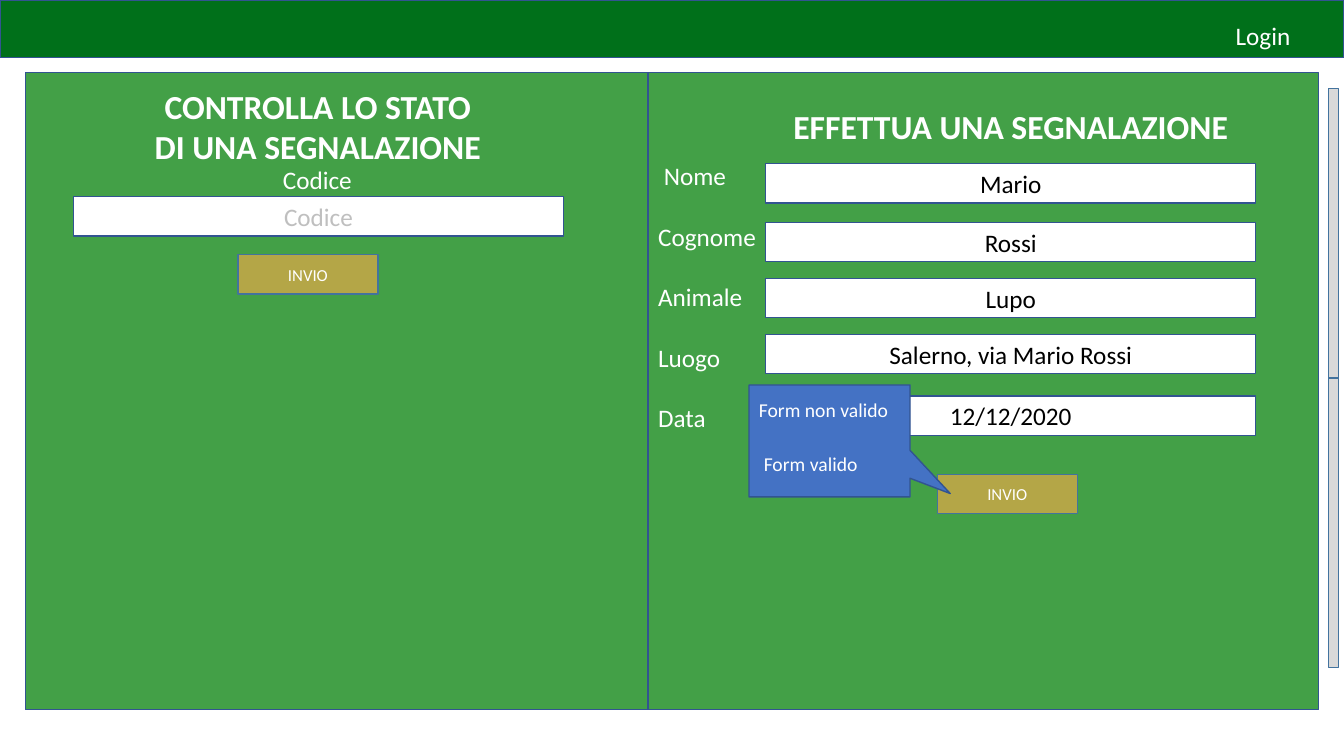
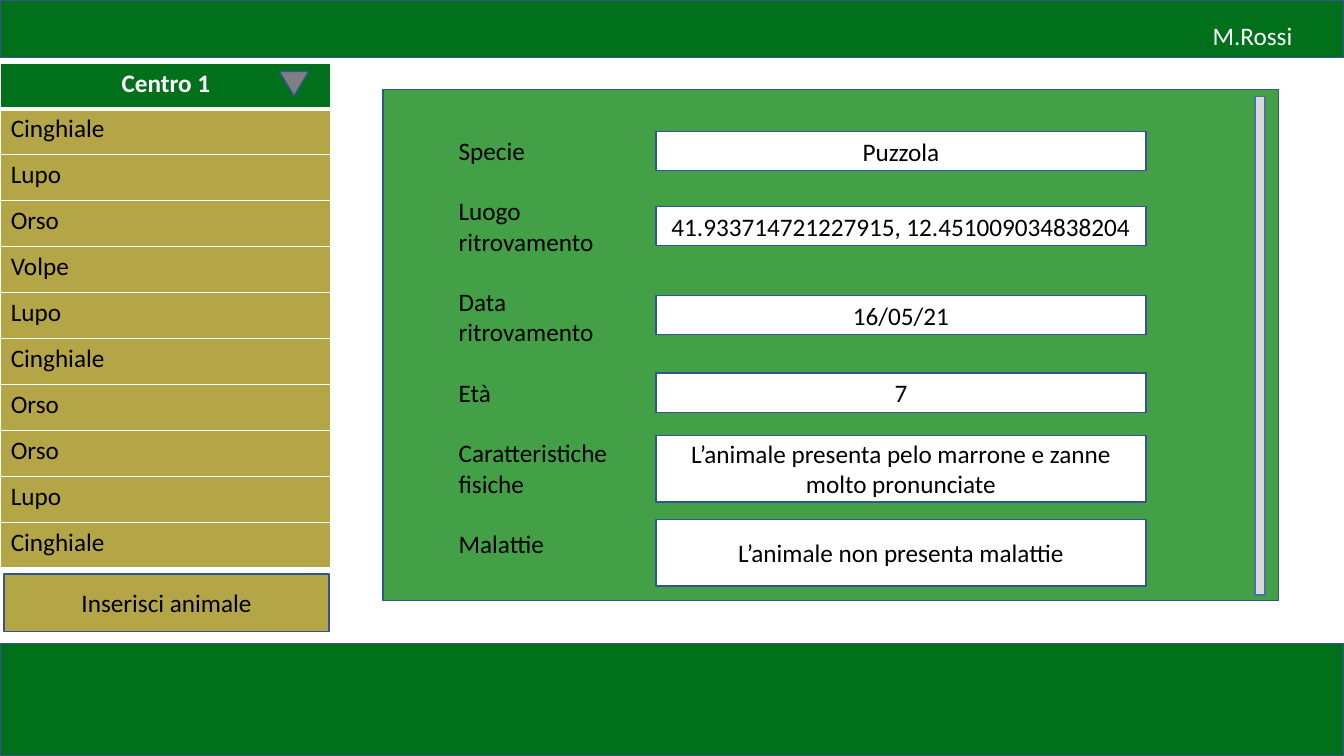
from dataclasses import dataclass

from lxml import etree
from pptx import Presentation
from pptx.dml.color import RGBColor
from pptx.enum.shapes import MSO_SHAPE
from pptx.enum.text import MSO_ANCHOR, PP_ALIGN
from pptx.oxml.ns import qn
from pptx.util import Pt

RECTANGLE = MSO_SHAPE.RECTANGLE
TRIANGLE = MSO_SHAPE.ISOSCELES_TRIANGLE
CALLOUT = MSO_SHAPE.RECTANGULAR_CALLOUT
MIDDLE, TOP = MSO_ANCHOR.MIDDLE, MSO_ANCHOR.TOP
LEFT, CENTER = PP_ALIGN.LEFT, PP_ALIGN.CENTER

FONT = "Calibri"
WHITE, BLACK = "FFFFFF", "000000"
DARK_GREEN, GREEN, GOLD = "00701A", "43A047", "B4A647"
BLUE, GREY, LIGHT_GREY, HINT_GREY = "4472C4", "808080", "D9D9D9", "BFBFBF"
NAVY_LINE, STEEL_LINE = "325491", "43739E"

SLIDE_WIDTH, SLIDE_HEIGHT = 960, 540
HEADER_HEIGHT = 41
HEADER_TEXT_RIGHT = 934.5
FIELD_WIDTH, FIELD_HEIGHT = 350, 28
LABEL_GAP = 21.6


@dataclass(frozen=True)
class Box:
    left: float
    top: float
    width: float
    height: float


@dataclass(frozen=True)
class TextStyle:
    size: float = 18
    color: str = WHITE
    bold: bool = False
    align: PP_ALIGN = LEFT


@dataclass(frozen=True)
class Field:
    top: float
    text: str
    height: float = FIELD_HEIGHT


LABEL = TextStyle()
DARK_LABEL = TextStyle(color=BLACK)
VALUE = TextStyle(color=BLACK, align=CENTER)
HINT = TextStyle(color=HINT_GREY, align=CENTER)
TITLE = TextStyle(size=24, bold=True, align=CENTER)
BUTTON = TextStyle(size=12, align=CENTER)
MESSAGE = TextStyle(size=14)
TABLE_HEAD = TextStyle(bold=True, align=CENTER)

REPORT_LABELS = [" Nome", "Cognome", "Animale", "Luogo", "Data"]
REPORT_FIELDS = [
    Field(117, "Mario"),
    Field(159, "Rossi"),
    Field(199, "Lupo"),
    Field(239, "Salerno, via Mario Rossi"),
    Field(283, "12/12/2020"),
]
ANIMAL_LABELS = ["Specie", "Luogo ritrovamento", "Data ritrovamento", "Età",
                 "Caratteristiche fisiche", "Malattie"]
ANIMAL_FIELDS = [
    Field(94, "Puzzola"),
    Field(147.5, "41.933714721227915, 12.451009034838204"),
    Field(211, "16/05/21"),
    Field(266.5, "7"),
    Field(311, "L’animale presenta pelo marrone e zanne molto pronunciate", 47.5),
    Field(371, "L’animale non presenta malattie", 47.5),
]
ANIMALS = ["Cinghiale", "Lupo", "Orso", "Volpe", "Lupo",
           "Cinghiale", "Orso", "Orso", "Lupo", "Cinghiale"]


# Basic parts
def rgb(color: str) -> RGBColor:
    return RGBColor.from_string(color)


def write(text_frame, lines: list[str], style: TextStyle, gap: float = 0) -> None:
    text_frame.text = "\n".join(lines)
    for index, paragraph in enumerate(text_frame.paragraphs):
        paragraph.alignment = style.align
        if index and gap:
            paragraph.space_before = Pt(gap)
        for run in paragraph.runs:
            run.font.name = FONT
            run.font.size = Pt(style.size)
            run.font.bold = style.bold
            run.font.color.rgb = rgb(style.color)


def place(box: Box) -> tuple:
    return Pt(box.left), Pt(box.top), Pt(box.width), Pt(box.height)


def add_block(slide, box: Box, fill: str, line: str = NAVY_LINE, text: str = "",
              style: TextStyle = VALUE, kind: MSO_SHAPE = RECTANGLE):
    shape = slide.shapes.add_shape(kind, *place(box))
    shape.shadow.inherit = False
    shape.fill.solid()
    shape.fill.fore_color.rgb = rgb(fill)
    shape.line.color.rgb = rgb(line)
    shape.line.width = Pt(1)
    if text:
        shape.text_frame.vertical_anchor = MIDDLE
        write(shape.text_frame, [text], style)
    return shape


def add_text(slide, box: Box, lines: list[str], style: TextStyle, gap: float = 0) -> None:
    text_frame = slide.shapes.add_textbox(*place(box)).text_frame
    text_frame.word_wrap = True
    text_frame.vertical_anchor = TOP
    write(text_frame, lines, style, gap)


# Page elements
def add_header(slide, text: str, text_width: float) -> None:
    add_block(slide, Box(0, 0, SLIDE_WIDTH, HEADER_HEIGHT), DARK_GREEN)
    box = Box(HEADER_TEXT_RIGHT - text_width, 11, text_width, 29)
    add_text(slide, box, [text], LABEL)


def add_fields(slide, left: float, fields: list[Field], style: TextStyle = VALUE) -> None:
    for field in fields:
        box = Box(left, field.top, FIELD_WIDTH, field.height)
        add_block(slide, box, WHITE, text=field.text, style=style)


def add_send_button(slide, left: float, top: float) -> None:
    add_block(slide, Box(left, top, 100, 28), GOLD, STEEL_LINE, "INVIO", BUTTON)


def add_scrollbar(slide, left: float, top: float, height: float) -> None:
    add_block(slide, Box(left, top, 7, height), LIGHT_GREY, STEEL_LINE)


def set_borders(cell, top: float, bottom: float) -> None:
    properties = cell._tc.get_or_add_tcPr()
    for side, width in (("L", 1), ("R", 1), ("T", top), ("B", bottom)):
        border = etree.SubElement(properties, qn(f"a:ln{side}"), w=str(Pt(width)))
        fill = etree.SubElement(border, qn("a:solidFill"))
        etree.SubElement(fill, qn("a:srgbClr"), val=WHITE)


def add_animal_table(slide, box: Box, head: str, animals: list[str]) -> None:
    rows = [head, *animals]
    table = slide.shapes.add_table(len(rows), 1, *place(box)).table
    table.horz_banding = False
    for index, text in enumerate(rows):
        table.rows[index].height = Pt(box.height / len(rows))
        cell = table.cell(index, 0)
        set_borders(cell, 3 if index == 1 else 1, 3 if index == 0 else 1)
        cell.fill.solid()
        cell.fill.fore_color.rgb = rgb(GOLD if index else DARK_GREEN)
        write(cell.text_frame, [text], DARK_LABEL if index else TABLE_HEAD)


# Slides
def build_report_slide(slide) -> None:
    add_header(slide, "Login", 59)
    for top in (63, 270):
        add_scrollbar(slide, 949, top, 207)

    # Report form
    field_left = 547
    add_block(slide, Box(463, 52, 479, 455), GREEN)
    add_fields(slide, field_left, REPORT_FIELDS)
    add_text(slide, Box(field_left, 72, FIELD_WIDTH, 36), ["EFFETTUA UNA SEGNALAZIONE"], TITLE)
    add_send_button(slide, 669.5, 339)
    add_text(slide, Box(463, 111, 239, 204), REPORT_LABELS, LABEL, LABEL_GAP)

    # Status check
    add_block(slide, Box(18, 52, 445, 455), GREEN)
    add_text(slide, Box(18, 57.5, 418, 65.5),
             ["CONTROLLA LO STATO", "DI UNA SEGNALAZIONE"], TITLE)
    add_text(slide, Box(195, 114, 216, 29), ["Codice"], LABEL)
    add_fields(slide, 52.5, [Field(140.5, "Codice")], HINT)
    add_send_button(slide, 170, 182)

    # Validation callout
    callout = add_block(slide, Box(535, 275, 115, 80), BLUE, kind=CALLOUT)
    callout.adjustments[0], callout.adjustments[1] = 0.75, 0.47
    add_text(slide, Box(535, 281, 136, 24), ["Form non valido"], MESSAGE)
    add_text(slide, Box(538.5, 319, 136, 24), ["Form valido"], MESSAGE)


def build_animal_slide(slide) -> None:
    add_header(slide, "M.Rossi", 75.5)
    footer_top = 459.5
    add_block(slide, Box(0, footer_top, SLIDE_WIDTH, SLIDE_HEIGHT - footer_top), DARK_GREEN)

    # Animal list
    add_animal_table(slide, Box(0.5, 45, 236, 360.8), "Centro 1", ANIMALS)
    arrow = add_block(slide, Box(199.5, 51, 21, 17.5), GREY, kind=TRIANGLE)
    arrow.rotation = 180
    add_block(slide, Box(3, 410, 232, 41), GOLD, text="Inserisci animale")

    # Animal details
    add_block(slide, Box(273.5, 64, 640, 365), GREEN)
    add_text(slide, Box(320.5, 93, 123, 312), ANIMAL_LABELS, DARK_LABEL, LABEL_GAP)
    add_fields(slide, 468.5, ANIMAL_FIELDS)
    add_scrollbar(slide, 896.5, 69, 356)


def main() -> None:
    presentation = Presentation()
    presentation.slide_width = Pt(SLIDE_WIDTH)
    presentation.slide_height = Pt(SLIDE_HEIGHT)
    blank = presentation.slide_layouts[6]
    for build in (build_report_slide, build_animal_slide):
        build(presentation.slides.add_slide(blank))
    presentation.save("out.pptx")


if __name__ == "__main__":
    main()
